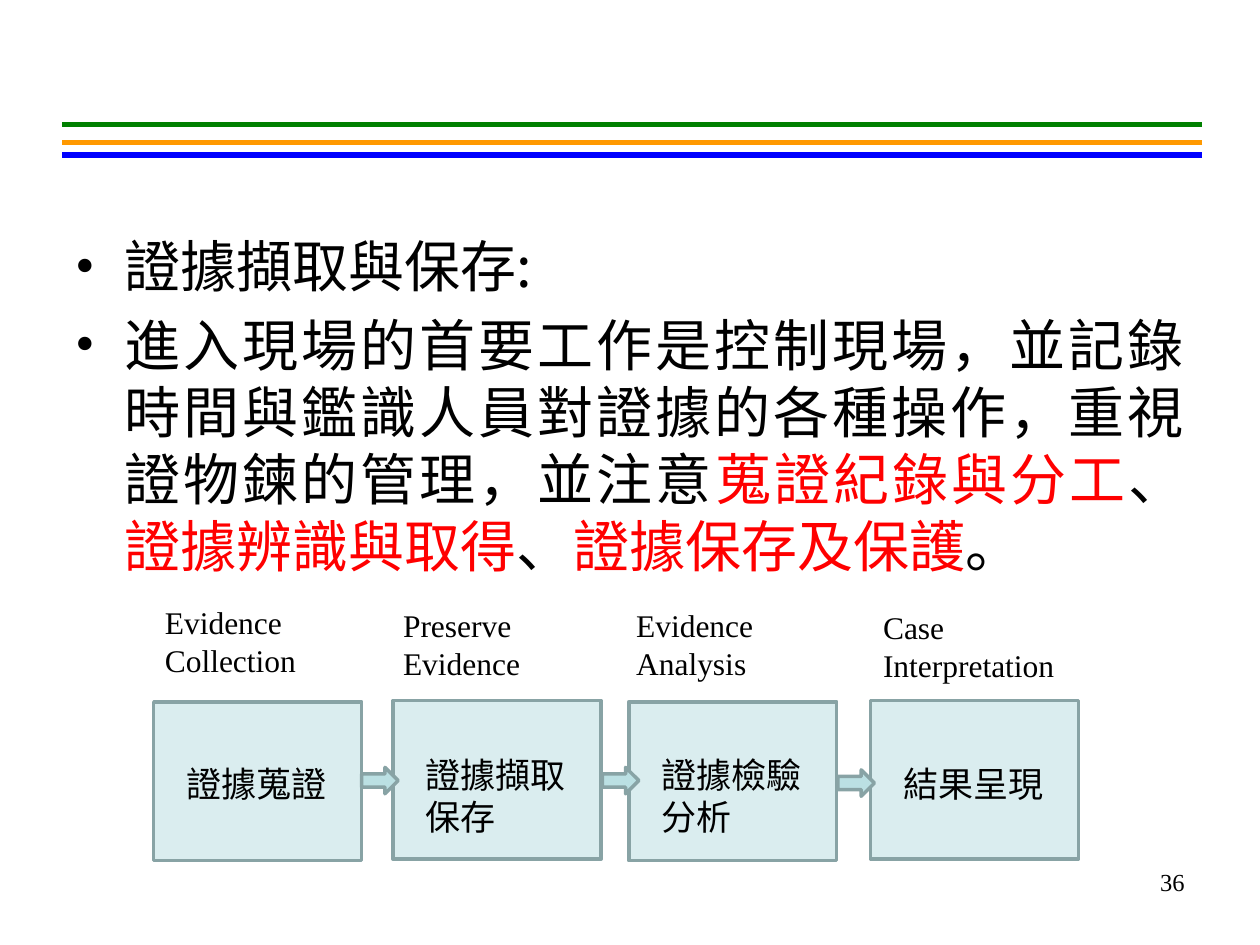
from dataclasses import dataclass

from lxml import etree
from pptx import Presentation
from pptx.dml.color import RGBColor
from pptx.enum.shapes import MSO_CONNECTOR, MSO_SHAPE
from pptx.enum.text import MSO_AUTO_SIZE, PP_ALIGN
from pptx.oxml.ns import qn
from pptx.util import Inches, Pt

LINE = MSO_CONNECTOR.STRAIGHT
RECT, ARROW = MSO_SHAPE.RECTANGLE, MSO_SHAPE.RIGHT_ARROW
LEFT, RIGHT, JUSTIFY = PP_ALIGN.LEFT, PP_ALIGN.RIGHT, PP_ALIGN.JUSTIFY
FIT = MSO_AUTO_SIZE.SHAPE_TO_FIT_TEXT


@dataclass(frozen=True)
class Theme:
    """Colours, fonts and type sizes of the slide."""
    black: str = "000000"
    red: str = "FF0000"
    rules: tuple = ((0.99, "008000"), (1.13, "FF9900"), (1.23, "0000FF"))
    box: str = "DAEDEF"
    arrow: str = "BBE0E3"
    edge: str = "88A3A5"
    cjk: str = "Noto Sans CJK SC"
    latin: str = "Times New Roman"
    body: int = 32
    step: int = 20
    caption: int = 18
    number: int = 14
    leading: float = 1.2


T = Theme()

BODY = [
    [("證據擷取與保存:", T.black)],
    [("進入現場的首要工作是控制現場，並記錄時間與鑑識人員對證據的各種操作，"
      "重視證物鍊的管理，並注意", T.black),
     ("蒐證紀錄與分工", T.red), ("、", T.black),
     ("證據辨識與取得", T.red), ("、", T.black),
     ("證據保存及保護", T.red), ("。", T.black)],
]

STEPS = [
    (1.22, 5.57, "證據蒐證", 5.97, "Evidence Collection", 1.21, 4.74),
    (3.12, 5.56, "證據擷取保存", 5.9, "Preserve Evidence", 3.1, 4.76),
    (4.99, 5.57, "證據檢驗分析", 5.9, "Evidence Analysis", 4.95, 4.76),
    (6.91, 5.56, "結果呈現", 5.97, "Case Interpretation", 6.91, 4.78),
]
ARROWS = [(2.87, 6.09), (4.78, 6.09), (6.65, 6.11)]


def add_run(p, text, size, font, color):
    """Add one run in the given font for Latin and East Asian text."""
    r = p.add_run()
    r.text = text
    r.font.size = Pt(size)
    r.font.name = font
    r.font.color.rgb = RGBColor.from_string(color)
    latin = r._r.get_or_add_rPr().find(qn("a:latin"))
    ea = etree.Element(qn("a:ea"), typeface=font)
    latin.addnext(ea)


def add_frame(s, box, top_inset=0.05):
    """Add a wrapping text box and return its text frame."""
    tf = s.shapes.add_textbox(*map(Inches, box)).text_frame
    tf.word_wrap = True
    tf.margin_top = Inches(top_inset)
    tf.margin_bottom = Inches(0.1 - top_inset)
    return tf


def add_label(s, box, text, size, font, align=LEFT):
    """Add a one-paragraph label."""
    cjk = font == T.cjk
    tf = add_frame(s, box, 0.08 if cjk else 0.05)
    p = tf.paragraphs[0]
    p.alignment = align
    if cjk:
        p.line_spacing = Pt(size * T.leading)
    add_run(p, text, size, font, T.black)
    return tf


def add_rules(s, left, right):
    """Draw the three coloured rules below the title area."""
    for y, color in T.rules:
        sp = s.shapes.add_connector(
            LINE, Inches(right), Inches(y), Inches(left), Inches(y))
        sp.line.color.rgb = RGBColor.from_string(color)
        sp.line.width = Pt(3)
        etree.SubElement(sp._element.spPr, qn("a:effectLst"))


def add_body(s, box):
    """Add the justified bullet text."""
    tf = add_frame(s, box, 0.09)
    for i, runs in enumerate(BODY):
        p = tf.add_paragraph() if i else tf.paragraphs[0]
        p.alignment = JUSTIFY
        p.line_spacing = Pt(T.body * T.leading)
        if i:
            p.space_before = Pt(6.4)
        pPr = p._p.get_or_add_pPr()
        pPr.set("marL", str(Inches(0.39)))
        pPr.set("indent", str(-Inches(0.39)))
        color = etree.SubElement(pPr, qn("a:buClr"))
        etree.SubElement(color, qn("a:srgbClr"), val=T.black)
        etree.SubElement(pPr, qn("a:buFont"), typeface=T.latin)
        etree.SubElement(pPr, qn("a:buChar"), char="•")
        for text, run_color in runs:
            add_run(p, text, T.body, T.cjk, run_color)


def add_block(s, kind, box, fill):
    """Add a filled and outlined preset shape."""
    sp = s.shapes.add_shape(kind, *map(Inches, box))
    sp.shadow.inherit = False
    sp.fill.solid()
    sp.fill.fore_color.rgb = RGBColor.from_string(fill)
    sp.line.color.rgb = RGBColor.from_string(T.edge)
    sp.line.width = Pt(2)


def add_process(s, width, height):
    """Draw the four captioned steps, each of the given size, and their arrows."""
    for x, y, step, step_y, caption, caption_x, caption_y in STEPS:
        add_block(s, RECT, (x, y, width, height), T.box)
        step_h = 0.44 if len(step) == 4 else 0.77
        labels = [
            ((x + 0.16, step_y, 1.34, step_h), step, T.step, T.cjk),
            ((caption_x, caption_y, width, 0.71), caption, T.caption, T.latin),
        ]
        for label in labels:
            add_label(s, *label).auto_size = FIT
    for x, y in ARROWS:
        add_block(s, ARROW, (x, y, 0.29, 0.21), T.arrow)


def main():
    """Build and save the slide."""
    prs = Presentation()
    prs.slide_width, prs.slide_height = Inches(10), Inches(7.5)
    s = prs.slides.add_slide(prs.slide_layouts[6])
    add_rules(s, 0.49, 9.54)
    add_body(s, (0.5, 1.75, 9, 4.95))
    add_label(s, (7.17, 6.83, 2.33, 0.52), "36", T.number, T.latin, RIGHT)
    add_process(s, 1.65, 1.26)
    prs.save("out.pptx")


if __name__ == "__main__":
    main()
